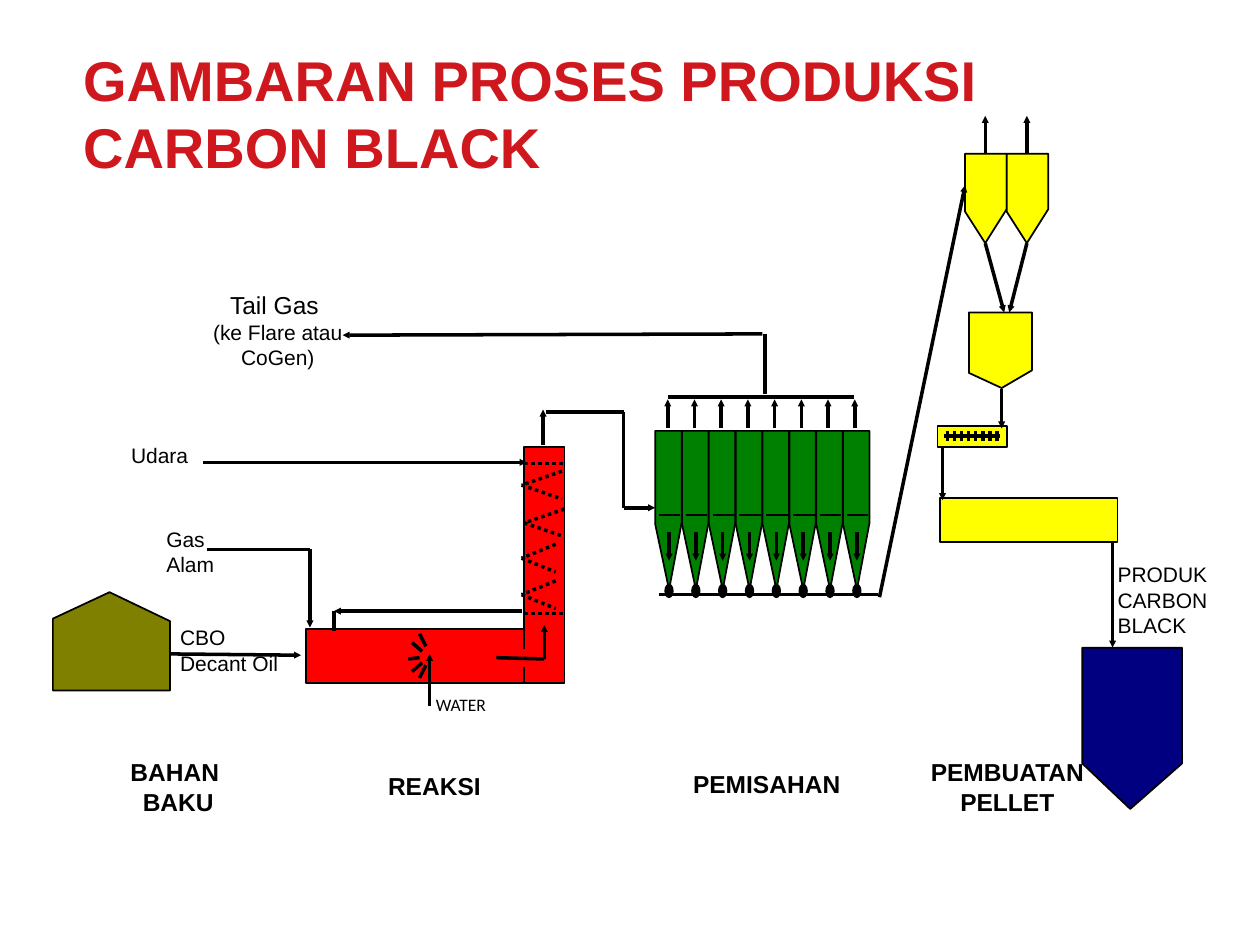
from dataclasses import dataclass

from lxml.etree import SubElement
from pptx import Presentation
from pptx.dml.color import RGBColor
from pptx.enum.dml import MSO_LINE
from pptx.enum.shapes import MSO_CONNECTOR, MSO_SHAPE
from pptx.enum.text import MSO_ANCHOR, PP_ALIGN
from pptx.oxml.ns import qn
from pptx.util import Inches, Pt

BLACK = RGBColor(0x00, 0x00, 0x00)
WHITE = RGBColor(0xFF, 0xFF, 0xFF)
TITLE_RED = RGBColor(0xCE, 0x18, 0x1E)
RED = RGBColor(0xFF, 0x00, 0x00)
OLIVE = RGBColor(0x80, 0x80, 0x00)
GREEN = RGBColor(0x00, 0x80, 0x00)
YELLOW = RGBColor(0xFF, 0xFF, 0x00)
NAVY = RGBColor(0x00, 0x00, 0x80)

Point = tuple[float, float]
BODY = {"name": "Arial", "size": Pt(12), "bold": False}
SMALL = {"name": "Calibri", "size": Pt(10), "bold": False}
GAS = {"name": "Arial", "size": Pt(14), "bold": False}
STAGE = {"name": "Arial", "size": Pt(14), "bold": True}
HEADING = {"name": "Arial", "size": Pt(32), "bold": True}


@dataclass
class Flow:
    points: list[Point]
    arrow: bool = False
    width: float = 2
    dotted: bool = False


@dataclass
class Label:
    left: float
    top: float
    width: float
    height: float
    lines: list[tuple[str, dict]]
    align: PP_ALIGN = PP_ALIGN.LEFT
    color: RGBColor = BLACK
    inset: float = 0.01
    fill: RGBColor | None = None


def paint(shape, fill: RGBColor) -> None:
    shape.shadow.inherit = False
    shape.fill.solid()
    shape.fill.fore_color.rgb = fill
    shape.line.color.rgb = BLACK
    shape.line.width = Pt(1)


def add_outline(shapes, points: list[Point], fill: RGBColor) -> None:
    corners = [(Inches(x), Inches(y)) for x, y in points]
    builder = shapes.build_freeform(*corners[0], scale=1.0)
    builder.add_line_segments(corners[1:], close=True)
    paint(builder.convert_to_shape(), fill)


def add_block(shapes, kind: MSO_SHAPE, left: float, top: float,
              width: float, height: float, fill: RGBColor) -> None:
    block = shapes.add_shape(kind, Inches(left), Inches(top), Inches(width), Inches(height))
    paint(block, fill)


def add_flow(shapes, flow: Flow) -> None:
    """Draw a run of straight segments, with the arrowhead on the last one."""
    segments = list(zip(flow.points, flow.points[1:]))
    for number, (start, end) in enumerate(segments, 1):
        segment = shapes.add_connector(
            MSO_CONNECTOR.STRAIGHT, *(Inches(value) for value in start + end))
        segment.line.color.rgb = BLACK
        segment.line.width = Pt(flow.width)
        if flow.dotted:
            segment.line.dash_style = MSO_LINE.ROUND_DOT
        if flow.arrow and number == len(segments):
            SubElement(segment.line._get_or_add_ln(), qn("a:tailEnd"),
                       type="triangle", w="sm", len="sm")
        SubElement(segment._element.spPr, qn("a:effectLst"))


def add_label(shapes, label: Label) -> None:
    box = shapes.add_textbox(Inches(label.left), Inches(label.top),
                             Inches(label.width), Inches(label.height))
    if label.fill is not None:
        box.fill.solid()
        box.fill.fore_color.rgb = label.fill
    frame = box.text_frame
    frame.word_wrap = True
    frame.vertical_anchor = MSO_ANCHOR.TOP
    for side in ("left", "top", "right", "bottom"):
        setattr(frame, f"margin_{side}", Inches(label.inset))
    for number, (text, style) in enumerate(label.lines):
        para = frame.add_paragraph() if number else frame.paragraphs[0]
        para.text = text
        para.alignment = label.align
        for span in para.runs:
            span.font.color.rgb = label.color
            for name, value in style.items():
                setattr(span.font, name, value)


def add_reaksi(shapes) -> None:
    add_outline(shapes, [(2.43, 4.99), (2.43, 5.42), (4.48, 5.42), (4.48, 3.55),
                         (4.16, 3.55), (4.16, 4.99)], RED)
    for top, bottom in ((4.99, 5.15), (5.29, 5.42)):
        add_flow(shapes, Flow([(4.16, top), (4.16, bottom)], width=1))
    # Dotted lines and zigzag
    for y in (3.68, 4.87):
        add_flow(shapes, Flow([(4.16, y), (4.47, y)], dotted=True))
    for left, right, middle in ((4.14, 4.46, 3.85), (4.16, 4.48, 4.15),
                                (4.14, 4.41, 4.43), (4.14, 4.41, 4.72)):
        add_flow(shapes, Flow([(right, middle - 0.11), (left, middle),
                               (right, middle + 0.11)], dotted=True))
    # Short strokes around the water arrow
    for stroke in ([(3.35, 5.17), (3.27, 5.1)], [(3.35, 5.26), (3.27, 5.33)],
                   [(3.38, 5.13), (3.33, 5.03)], [(3.33, 5.38), (3.38, 5.28)],
                   [(3.33, 5.22), (3.24, 5.23)]):
        add_flow(shapes, Flow(stroke))


def add_pemisahan(shapes) -> None:
    for index in range(8):
        left = 5.2 + 0.213 * index
        add_outline(shapes, [(left, 3.42), (left + 0.21, 3.42), (left + 0.21, 4.15),
                             (left + 0.11, 4.68), (left, 4.16)], GREEN)
        add_flow(shapes, Flow([(left + 0.03, 4.09), (left + 0.2, 4.09)], width=1))
        add_block(shapes, MSO_SHAPE.OVAL, left + 0.08, 4.64, 0.06, 0.1, BLACK)
        add_flow(shapes, Flow([(left + 0.11, 4.22), (left + 0.11, 4.45)], arrow=True))
        rise = 5.3 + 0.212 * index
        add_flow(shapes, Flow([(rise, 3.4), (rise, 3.17)], arrow=True))


def add_pembuatan_pellet(shapes) -> None:
    # Upper pair with arrows
    for left, target in ((7.66, 7.97), (7.99, 8.01)):
        tip = left + 0.16
        add_outline(shapes, [(left, 1.22), (left + 0.33, 1.22), (left + 0.33, 1.66),
                             (tip, 1.93), (left, 1.68)], YELLOW)
        add_flow(shapes, Flow([(tip, 1.22), (tip, 0.92)], arrow=True))
        add_flow(shapes, Flow([(tip, 1.93), (target, 2.48)], arrow=True))
    # Pointed shape and wide rectangle
    add_outline(shapes, [(7.69, 2.48), (8.19, 2.48), (8.19, 2.94),
                         (7.95, 3.08), (7.69, 2.96)], YELLOW)
    add_block(shapes, MSO_SHAPE.RECTANGLE, 7.46, 3.95, 1.41, 0.35, YELLOW)
    # Small rectangle with a ticked line
    ticked = shapes.add_group_shape().shapes
    add_block(ticked, MSO_SHAPE.RECTANGLE, 7.44, 3.38, 0.55, 0.17, YELLOW)
    add_flow(ticked, Flow([(7.49, 3.46), (7.94, 3.46)]))
    for index in range(8):
        tick = 7.52 + 0.056 * index
        add_flow(ticked, Flow([(tick, 3.42), (tick, 3.5)]))


FLOWS = [
    Flow([(1.64, 4.36), (2.46, 4.36), (2.46, 4.98)], arrow=True),
    Flow([(1.35, 5.19), (2.39, 5.2)], arrow=True),
    Flow([(1.61, 3.67), (4.18, 3.67)], arrow=True),
    Flow([(4.14, 4.85), (2.65, 4.85)], arrow=True),
    Flow([(2.65, 4.85), (2.65, 5.01)]),
    Flow([(3.41, 5.6), (3.41, 5.19)], arrow=True),
    Flow([(3.94, 5.22), (4.32, 5.23), (4.32, 4.96)], arrow=True),
    Flow([(4.31, 3.53), (4.31, 3.25)], arrow=True),
    Flow([(4.33, 3.27), (4.95, 3.27), (4.95, 4.03), (5.2, 4.03)], arrow=True),
    Flow([(5.3, 3.15), (6.78, 3.15)]),
    Flow([(5.23, 4.72), (6.97, 4.72)]),
    Flow([(6.98, 4.74), (7.66, 1.47)], arrow=True),
    Flow([(7.95, 3.09), (7.95, 3.4)], arrow=True),
    Flow([(7.48, 3.55), (7.48, 3.97)], arrow=True),
    Flow([(8.83, 4.3), (8.83, 5.14)], arrow=True),
]
TAIL_GAS_FLOWS = [
    Flow([(6.07, 2.65), (6.07, 3.13)]),
    Flow([(6.05, 2.65), (2.72, 2.66)], arrow=True),
]
LABELS = [
    Label(0.66, 0.36, 8.5, 1.25, [("GAMBARAN PROSES PRODUKSI \nCARBON BLACK", HEADING)],
          color=TITLE_RED, inset=0),
    Label(1.03, 3.5, 1.05, 0.17, [("Udara", BODY)]),
    Label(1.31, 4.17, 0.59, 0.5, [("Gas Alam", BODY)]),
    Label(1.42, 4.95, 0.96, 0.55, [("CBO\nDecant Oil", BODY)]),
    Label(3.45, 5.5, 0.53, 0.17, [("WATER", SMALL)]),
    Label(8.86, 4.45, 1.14, 0.38, [("PRODUK", BODY), ("CARBON BLACK", BODY)]),
    Label(1.5, 2.25, 1.41, 0.62, [("Tail Gas ", GAS), ("(ke Flare atau CoGen)", BODY)],
          PP_ALIGN.CENTER, inset=0.05, fill=WHITE),
    Label(0.83, 6, 1.17, 0.42, [("BAHAN ", STAGE), ("BAKU", STAGE)], PP_ALIGN.CENTER),
    Label(3.07, 6.11, 0.97, 0.25, [("REAKSI", STAGE)]),
    Label(5.49, 6.09, 1.49, 0.99, [("PEMISAHAN", STAGE)]),
    Label(7.32, 6, 1.35, 1.33, [("PEMBUATAN PELLET", STAGE)], PP_ALIGN.CENTER),
]


def main() -> None:
    deck = Presentation()
    deck.slide_width, deck.slide_height = Inches(10), Inches(7.5)
    page = deck.slides.add_slide(deck.slide_layouts[6])
    shapes = page.shapes
    # Bahan baku, the three stages and the produk
    add_outline(shapes, [(0.42, 4.91), (0.42, 5.48), (1.35, 5.48),
                         (1.35, 4.93), (0.87, 4.7)], OLIVE)
    add_reaksi(shapes)
    add_pemisahan(shapes)
    add_pembuatan_pellet(shapes)
    add_outline(shapes, [(8.59, 5.14), (9.38, 5.14), (9.38, 6.06),
                         (8.97, 6.42), (8.59, 6.06)], NAVY)
    # Flow lines and wording; the tail gas line runs over its label
    for flow in FLOWS:
        add_flow(shapes, flow)
    for label in LABELS:
        add_label(shapes, label)
    for flow in TAIL_GAS_FLOWS:
        add_flow(shapes, flow)
    deck.save("out.pptx")


if __name__ == "__main__":
    main()
